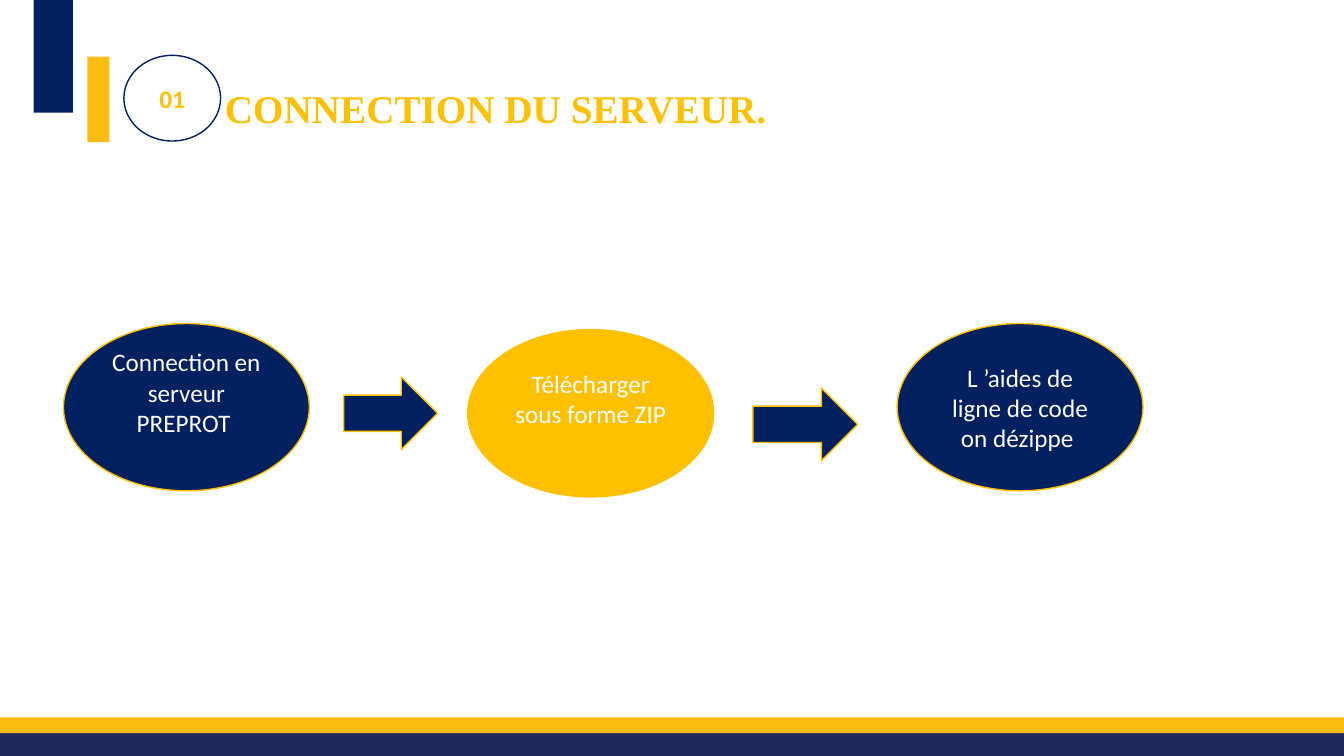
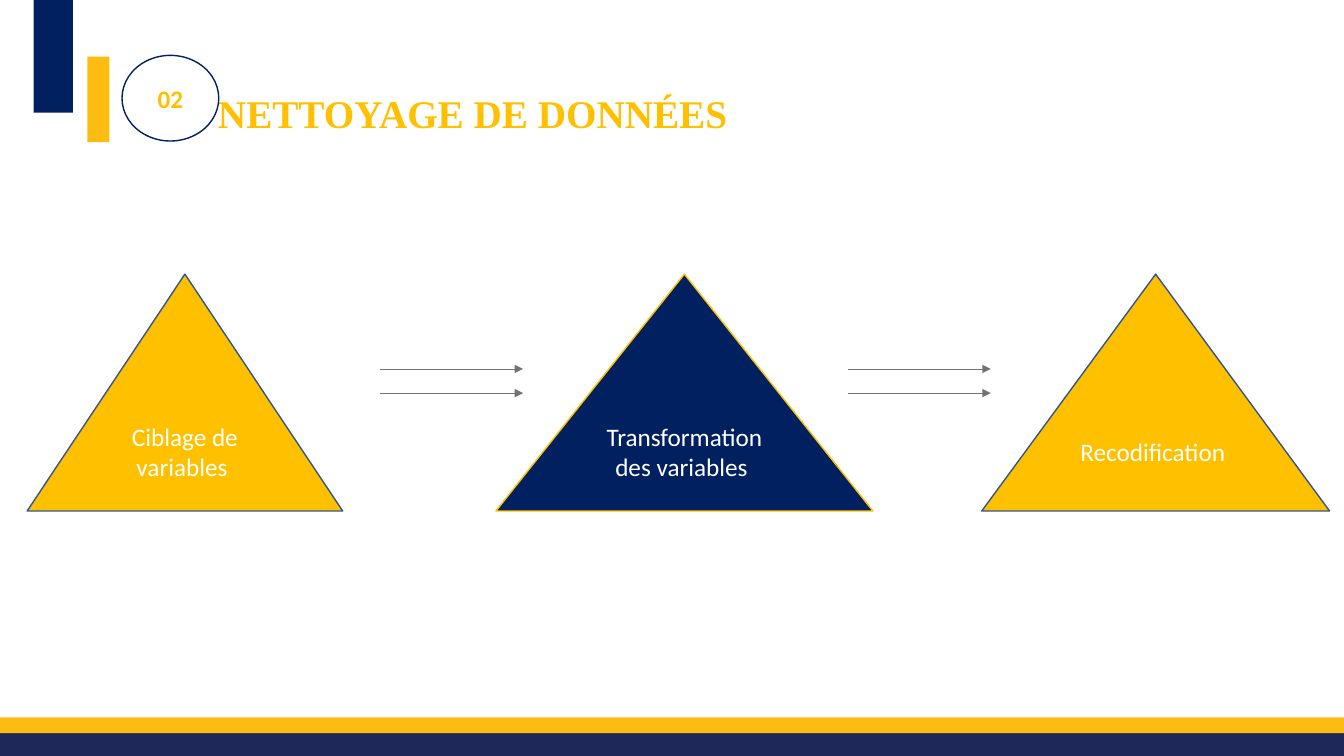
import pptx
import pptx.dml.color
import pptx.enum.shapes
import pptx.enum.text
import pptx.oxml
import pptx.oxml.ns
import pptx.util

SHAPE = pptx.enum.shapes.MSO_SHAPE
COLORS = {
    "navy": "002060",
    "band": "1F2959",
    "amber": "FDBC11",
    "gold": "FFC000",
    "blue": "325491",
    "gray": "767171",
    "white": "FFFFFF",
}


def rgb(name):
    return pptx.dml.color.RGBColor.from_string(COLORS[name])


class Deck:
    """Style and current slide; all lengths are percentages of the slide's size."""

    def __init__(self):
        self.prs = pptx.Presentation()
        self.prs.slide_width = pptx.util.Inches(13.333)
        self.prs.slide_height = pptx.util.Inches(7.5)
        self.s = None

    def x(self, share):
        return int(self.prs.slide_width * share / 100)

    def y(self, share):
        return int(self.prs.slide_height * share / 100)

    def box(self, left, top, width, height):
        return self.x(left), self.y(top), self.x(width), self.y(height)

    def add_slide(self, number, badge_left, title, title_box):
        self.s = self.prs.slides.add_slide(self.prs.slide_layouts[6])
        self.shape(SHAPE.RECTANGLE, (0, 96.4, 100, 3.6), "band")
        self.shape(SHAPE.RECTANGLE, (0, 94.9, 100, 2.1), "amber")
        self.shape(SHAPE.RECTANGLE, (6.5, 7.5, 1.65, 11.3), "amber")
        self.shape(SHAPE.RECTANGLE, (2.5, 0, 2.92, 14.9), "navy")
        self.title(title, title_box)
        badge = self.shape(SHAPE.FLOWCHART_CONNECTOR, (badge_left, 7.33, 7.2, 11.33), "white", "navy")
        self.text(badge, number, color="gold", bold=True)

    def shape(self, kind, box, fill, line=None):
        sp = self.s.shapes.add_shape(kind, *self.box(*box))
        sp.shadow.inherit = False
        sp.fill.solid()
        sp.fill.fore_color.rgb = rgb(fill)
        if line:
            sp.line.color.rgb = rgb(line)
            sp.line.width = pptx.util.Pt(1)
        else:
            sp.line.fill.background()
        return sp

    def text(self, sp, text, color="white", size=18, font="Calibri", bold=False):
        tf = sp.text_frame
        tf.word_wrap = True
        p = tf.paragraphs[0]
        p.text = text
        p.alignment = pptx.enum.text.PP_ALIGN.CENTER
        p.font.name = font
        p.font.size = pptx.util.Pt(size)
        p.font.bold = bold
        p.font.color.rgb = rgb(color)

    def title(self, text, box):
        sp = self.s.shapes.add_textbox(*self.box(*box))
        self.text(sp, text, "gold", 28, "Times New Roman", True)

    def step(self, kind, box, text, fill, line, lift=0):
        """Labelled shape; lift raises the label by half that share of the height."""
        sp = self.shape(kind, box, fill, line)
        self.text(sp, text)
        tf = sp.text_frame
        tf.vertical_anchor = pptx.enum.text.MSO_ANCHOR.MIDDLE
        if lift:
            tf.margin_top = 0
            tf.margin_bottom = self.y(lift)

    def arrow(self, left, top, length):
        cx = self.s.shapes.add_connector(
            pptx.enum.shapes.MSO_CONNECTOR.STRAIGHT,
            self.x(left), self.y(top), self.x(left + length), self.y(top))
        cx.line.color.rgb = rgb("gray")
        cx.line.width = pptx.util.Pt(0.5)
        qn = pptx.oxml.ns.qn
        tail = cx.line._get_or_add_ln().makeelement(qn("a:tailEnd"), {"type": "triangle"})
        cx.line._get_or_add_ln().append(tail)
        sp_pr = cx._element.spPr
        sp_pr.append(sp_pr.makeelement(qn("a:effectLst"), {}))


def connection_slide(deck):
    deck.add_slide("01", 9.22, "CONNECTION DU SERVEUR. ", (15.3, 10.53, 43.88, 7.6))
    for left, top, width in ((25.58, 49.87, 6.98), (56.02, 51.33, 7.8)):
        deck.shape(SHAPE.RIGHT_ARROW, (left, top, width, 9.6), "navy", "gold")
    steps = (
        (4.72, 42.8, "navy", 4, "Connection en serveur PREPROT "),
        (34.8, 43.6, "gold", 4, "Télécharger sous forme ZIP "),
        (66.75, 42.8, "navy", 0, "L ’aides de ligne de code on dézippe "),
    )
    for left, top, fill, lift, text in steps:
        deck.step(SHAPE.OVAL, (left, top, 18.3, 22.13), text, fill, "gold", lift)


def cleaning_slide(deck):
    deck.add_slide("02", 9.08, "NETTOYAGE DE DONNÉES ", (15.38, 11.2, 40.28, 7.6))
    steps = (
        (2.02, 23.48, "gold", "blue", "Ciblage de variables "),
        (36.9, 28.05, "navy", "gold", "Transformation des variables "),
        (73.05, 25.88, "gold", "blue", "Recodification "),
    )
    for left, width, fill, line, text in steps:
        deck.step(SHAPE.FLOWCHART_EXTRACT, (left, 36.27, width, 31.33), text, fill, line)
    for left in (28.27, 63.07):
        for top in (48.8, 52):
            deck.arrow(left, top, 10.65)


def main():
    deck = Deck()
    connection_slide(deck)
    cleaning_slide(deck)
    deck.prs.save("out.pptx")


if __name__ == "__main__":
    main()
